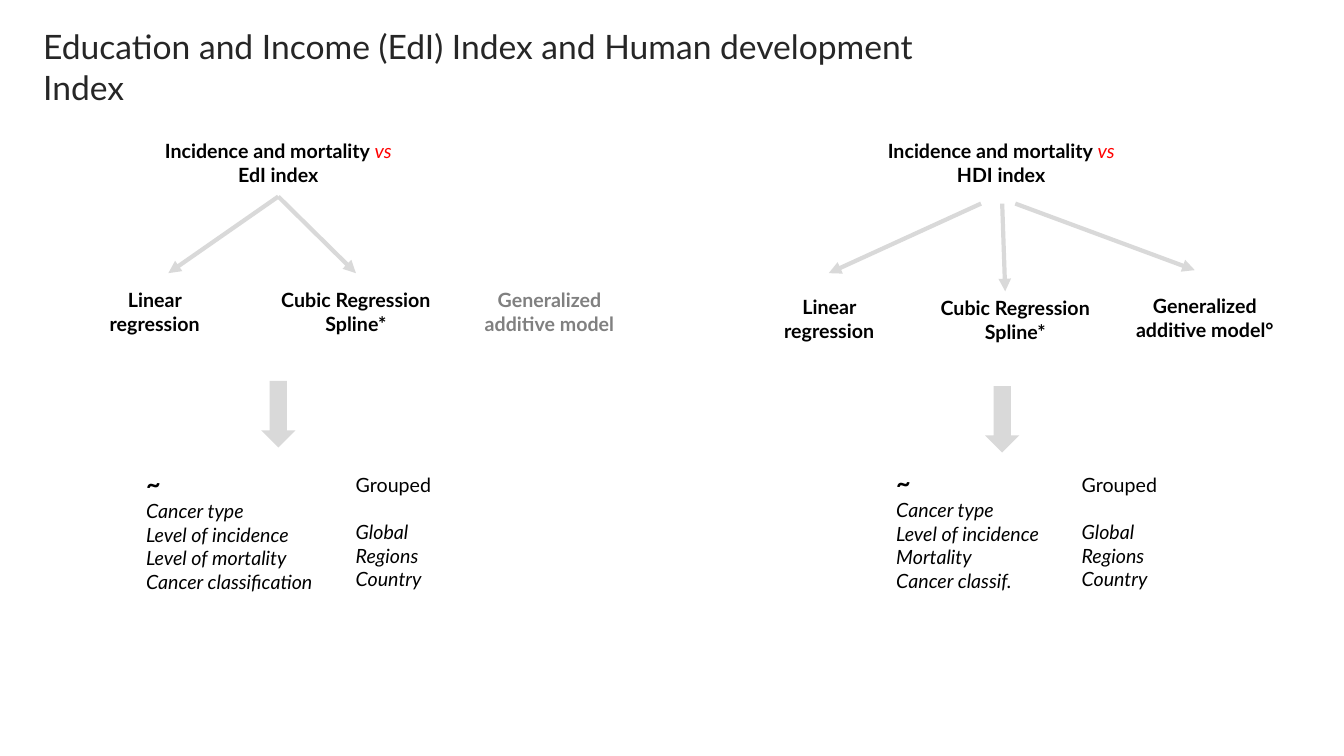
"""Build the slide comparing the EdI and HDI index analyses."""
from lxml import etree
from pptx import Presentation
from pptx.dml.color import RGBColor
from pptx.enum.shapes import MSO_CONNECTOR, MSO_SHAPE
from pptx.enum.text import PP_ALIGN
from pptx.oxml.ns import qn
from pptx.util import Inches, Pt

BLACK = RGBColor(0x00, 0x00, 0x00)
TITLE = RGBColor(0x26, 0x26, 0x26)
RED = RGBColor(0xFF, 0x00, 0x00)
MUTED = RGBColor(0x80, 0x80, 0x80)
ARROW = RGBColor(0xD9, 0xD9, 0xD9)

prs = Presentation()
prs.slide_width, prs.slide_height = Inches(13.33), Inches(7.5)
s = prs.slides.add_slide(prs.slide_layouts[6])


def style(font, size=14, color=BLACK, bold=False, italic=False):
    font.name, font.size = "Lato", Pt(size)
    font.color.rgb = color
    font.bold, font.italic = bold, italic


def add_text(box, lines, align=PP_ALIGN.LEFT, **font):
    tf = s.shapes.add_textbox(*map(Inches, box)).text_frame
    tf.word_wrap = True
    for i, line in enumerate(lines):
        p = tf.paragraphs[0] if i == 0 else tf.add_paragraph()
        p.alignment = align
        if line:
            p.add_run().text = line
        style(p.font, **font)
    return tf.paragraphs


add_text((0.33, 0.21, 9.69, 0.9),
         ["Education and Income (EdI) Index and Human development Index"],
         size=24, color=TITLE)

LINEAR, SPLINE, ADDITIVE = ("Linear regression", "Cubic Regression Spline*",
                            "Generalized additive model")
panels = [
    dict(index="EdI index", left=1.47,
         models=[(0.72, 2.81, 1.63, LINEAR, BLACK),
                 (2.57, 2.81, 1.92, SPLINE, BLACK),
                 (4.49, 2.81, 1.92, ADDITIVE, MUTED)],
         arrows=[(2.76, 1.95, 1.67, 2.71), (2.76, 1.95, 3.53, 2.71)],
         down=(2.59, 3.78),
         factors=(1.35, 4.6, 2.08, 1.35),
         names=["Level of mortality", "Cancer classification"],
         grouped=3.43),
    dict(index="HDI index", left=8.64,
         models=[(7.41, 2.88, 1.63, LINEAR, BLACK),
                 (9.11, 2.89, 1.92, SPLINE, BLACK),
                 (10.99, 2.87, 1.92, ADDITIVE + "°", BLACK)],
         arrows=[(9.73, 2.02, 8.22, 2.71), (9.94, 2.02, 9.97, 2.89),
                 (10.07, 2.02, 11.85, 2.68)],
         down=(9.77, 3.83),
         factors=(8.79, 4.59, 1.89, 1.35),
         names=["Mortality", "Cancer classif."],
         grouped=10.63),
]

for panel in panels:
    p = add_text((panel["left"], 1.33, 2.58, 0.57), [""], PP_ALIGN.CENTER)[0]
    for text, color, bold in [("Incidence and mortality ", BLACK, True),
                              ("vs ", RED, False),
                              (panel["index"], BLACK, True)]:
        r = p.add_run()
        r.text = text
        style(r.font, color=color, bold=bold, italic=not bold)

    for x, y, width, model, color in panel["models"]:
        add_text((x, y, width, 0.57), [model], PP_ALIGN.CENTER,
                 color=color, bold=True)

    for ends in panel["arrows"]:
        line = s.shapes.add_connector(MSO_CONNECTOR.STRAIGHT,
                                      *map(Inches, ends))
        line.line.color.rgb = ARROW
        line.line.width = Pt(3)
        etree.SubElement(line.line._get_or_add_ln(), qn("a:tailEnd"),
                         type="triangle")
        etree.SubElement(line._element.spPr, qn("a:effectLst"))

    sp = s.shapes.add_shape(MSO_SHAPE.DOWN_ARROW,
                            *map(Inches, panel["down"] + (0.34, 0.66)))
    sp.shadow.inherit = False
    sp.fill.solid()
    sp.fill.fore_color.rgb = ARROW
    sp.line.fill.background()

    factors = ["~", "Cancer type", "Level of incidence"] + panel["names"]
    tilde = add_text(panel["factors"], factors, italic=True)[0]
    style(tilde.font, size=18, bold=True)

    groups = add_text((panel["grouped"], 4.64, 1.07, 1.28),
                      ["Grouped", "Global", "Regions", "Country"], italic=True)
    groups[0].font.italic = False
    groups[1].space_before = Pt(17)

prs.save("out.pptx")
